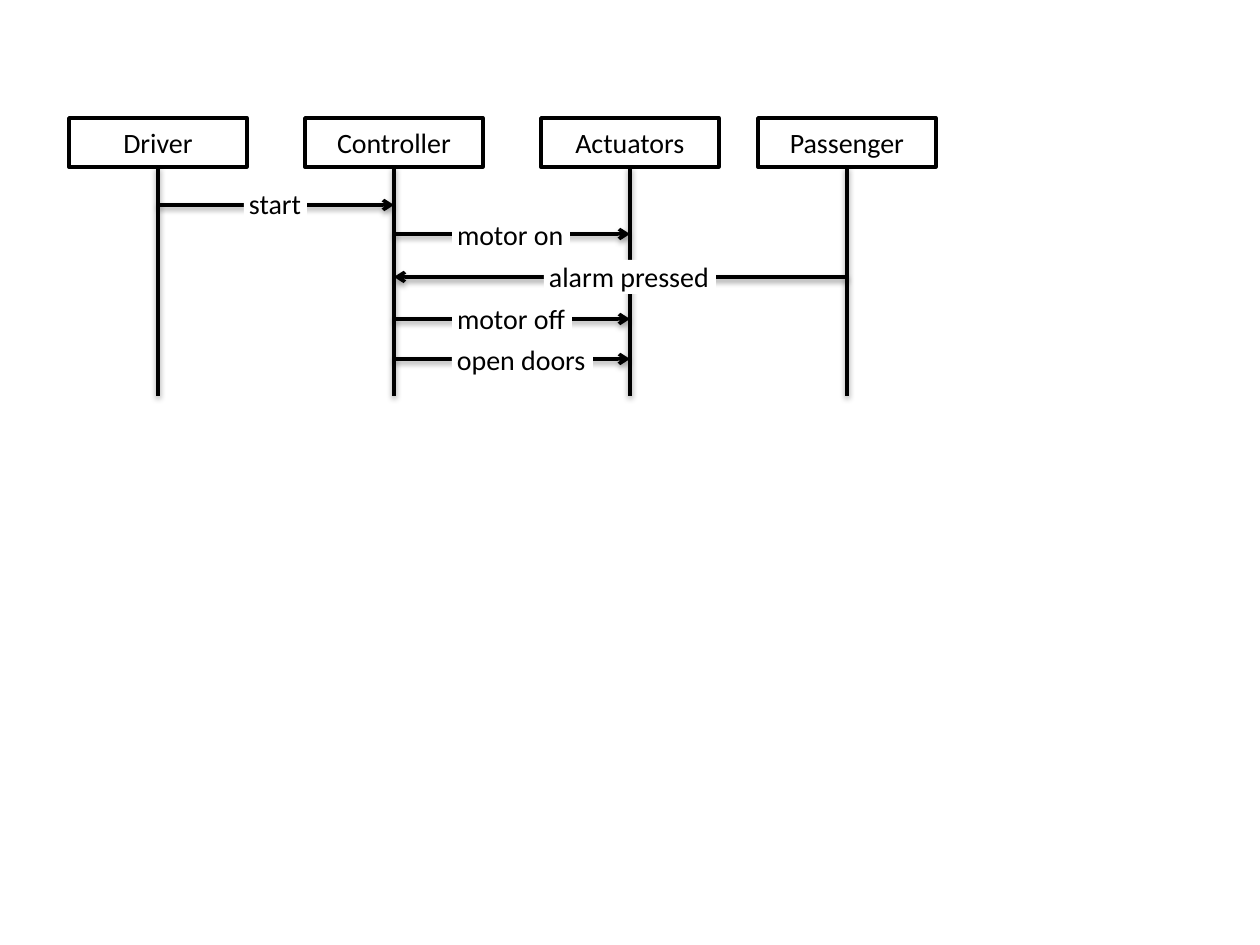
"""Build a sequence diagram of a door alarm scenario."""
from lxml.etree import SubElement
from pptx import Presentation
from pptx.dml.color import RGBColor
from pptx.enum.shapes import MSO_CONNECTOR as Connector, MSO_SHAPE as Shape
from pptx.enum.text import MSO_ANCHOR as Anchor, MSO_AUTO_SIZE as AutoSize, PP_ALIGN as Align
from pptx.oxml.ns import qn
from pptx.util import Pt

SCALE = 914400 // 126
COLORS = {"ink": "000000", "paper": "FFFFFF"}
BOX_TOP, BOX_WIDTH, BOX_HEIGHT = 118, 178, 49
LIFELINE_BOTTOM = 396
LABEL_HEIGHT = 34
ACTORS = {"Driver": 158, "Controller": 394, "Actuators": 630, "Passenger": 847}
MESSAGES = [
    ("start", "Driver", "Controller", 205, (244, 187, 63)),
    ("motor on", "Controller", "Actuators", 234, (452, 218, 118)),
    ("alarm pressed", "Passenger", "Controller", 277, (544, 260, 172)),
    ("motor off", "Controller", "Actuators", 319, (452, 302, 120)),
    ("open doors", "Controller", "Actuators", 359, (452, 343, 141)),
]


def px(value):
    """Turn whole pixels into EMU."""
    return value * SCALE


def color(name):
    """Look up a named colour."""
    return RGBColor.from_string(COLORS[name])


def write(frame, text, size=16, font="Calibri", ink="ink", align=Align.LEFT):
    """Write one formatted paragraph into a text frame."""
    para = frame.paragraphs[0]
    para.alignment = align
    span = para.add_run()
    span.text = text
    span.font.size = Pt(size)
    span.font.name = font
    span.font.color.rgb = color(ink)


def add_actor(page, name, center):
    """Add the outlined box of an actor."""
    box = page.shapes.add_shape(
        Shape.RECTANGLE, px(center - BOX_WIDTH // 2), px(BOX_TOP), px(BOX_WIDTH), px(BOX_HEIGHT))
    box.shadow.inherit = False
    box.fill.solid()
    box.fill.fore_color.rgb = color("paper")
    box.line.color.rgb = color("ink")
    box.line.width = Pt(2)
    box.text_frame.vertical_anchor = Anchor.MIDDLE
    write(box.text_frame, name, align=Align.CENTER)


def add_shadow(line):
    """Give a line a soft shadow below it."""
    effects = SubElement(line._element.spPr, qn("a:effectLst"))
    shadow = SubElement(effects, qn("a:outerShdw"), blurRad="40000", dist="20000",
                        dir="5400000", rotWithShape="0")
    tint = SubElement(shadow, qn("a:srgbClr"), val=COLORS["ink"])
    SubElement(tint, qn("a:alpha"), val="38000")


def add_line(page, start, end, arrow=False):
    """Add a shadowed line, with an open arrowhead at its end if asked."""
    line = page.shapes.add_connector(Connector.STRAIGHT, *map(px, start + end))
    line.line.color.rgb = color("ink")
    line.line.width = Pt(2)
    if arrow:
        SubElement(line.line._get_or_add_ln(), qn("a:tailEnd"), type="arrow")
    add_shadow(line)


def add_label(page, text, left, top, width):
    """Add a message label that covers the lines behind it."""
    box = page.shapes.add_textbox(px(left), px(top), px(width), px(LABEL_HEIGHT))
    box.fill.solid()
    box.fill.fore_color.rgb = color("paper")
    frame = box.text_frame
    frame.margin_left = frame.margin_right = px(5)
    frame.margin_top = frame.margin_bottom = 0
    frame.word_wrap = False
    frame.auto_size = AutoSize.SHAPE_TO_FIT_TEXT
    write(frame, text)


def main():
    """Build and save the deck."""
    deck = Presentation()
    deck.slide_width, deck.slide_height = px(1260), px(945)
    page = deck.slides.add_slide(deck.slide_layouts[6])
    for name, center in ACTORS.items():
        add_actor(page, name, center)
    for center in ACTORS.values():
        add_line(page, (center, BOX_TOP + BOX_HEIGHT), (center, LIFELINE_BOTTOM))
    for text, sender, receiver, height, place in MESSAGES:
        add_line(page, (ACTORS[sender], height), (ACTORS[receiver], height), arrow=True)
        add_label(page, text, *place)
    deck.save("out.pptx")


main()
